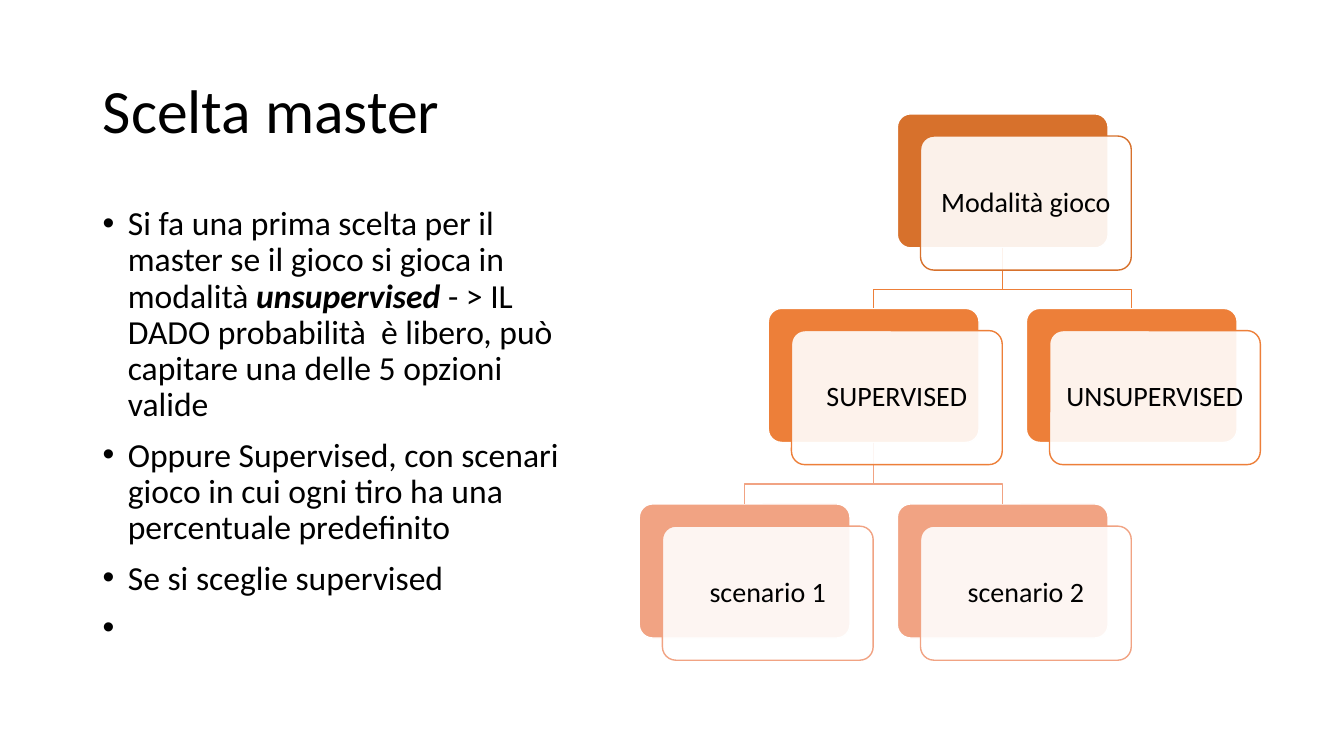
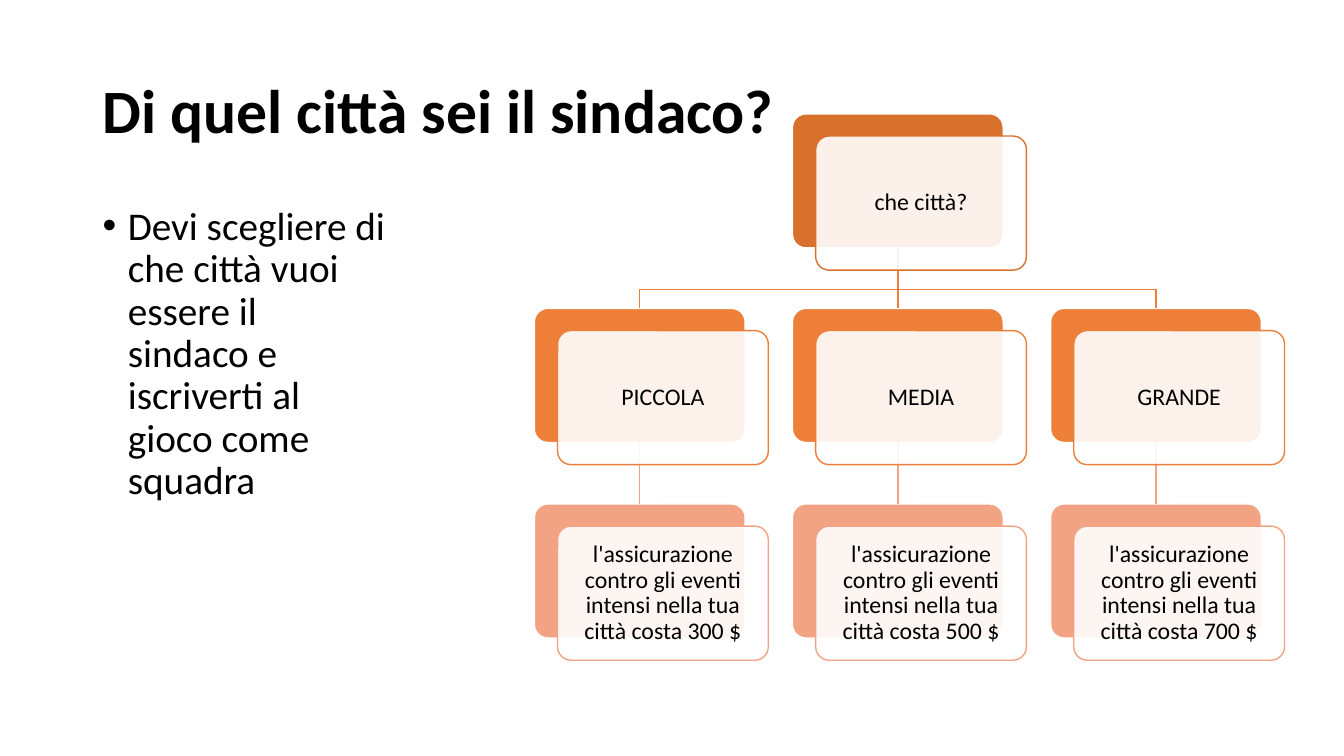
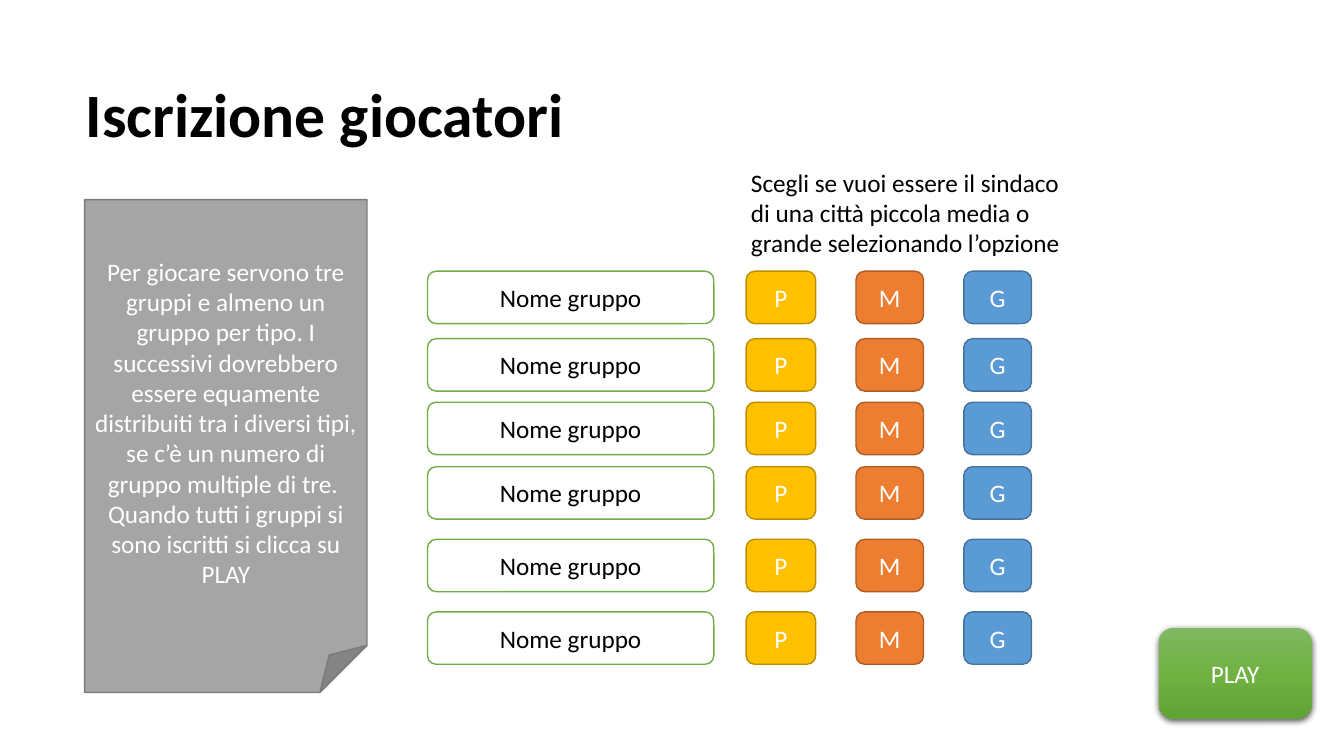
from lxml import etree
from pptx import Presentation
from pptx import util as u
from pptx.dml.color import RGBColor
from pptx.enum import shapes, text
from pptx.oxml import ns

PX = 9144  # EMU in one px, 100 px to the inch
FONT = "Calibri"
COLORS = {
    "black": "000000", "white": "FFFFFF",
    "root": "D7712C", "branch": "ED7F39", "leaf": "F1A383",
    "green": "70AD47", "gold": "FFC000", "gold_edge": "BD8E00",
    "orange": "ED7D31", "orange_edge": "AF5C24",
    "blue": "5B9BD5", "blue_edge": "43739E",
    "gray": "A5A5A5", "gray_edge": "7A7A7A",
    "play_top": "81B861", "play_middle": "6FB242", "play_bottom": "62A336",
}
LEVELS = ["root", "branch", "leaf"]
CARD_WIDTH, CARD_HEIGHT = 209, 133
CARD_SHIFT_X, CARD_SHIFT_Y = 23, 22
COLUMN_STEP, TWO_ROWS, BEND = 256, 387, 41
LEFT, CENTER = text.PP_ALIGN.LEFT, text.PP_ALIGN.CENTER
TOP, MIDDLE = text.MSO_ANCHOR.TOP, text.MSO_ANCHOR.MIDDLE
ROUNDED = shapes.MSO_SHAPE.ROUNDED_RECTANGLE


def emu(*lengths):
    return [u.Emu(round(length * PX)) for length in lengths]


def rgb(name):
    return RGBColor.from_string(COLORS[name])


def add_xml(parent, tag, **attributes):
    return etree.SubElement(parent, ns.qn(tag), attributes)


def write(frame, paras, size=18, color="black", bold=False, align=CENTER,
          anchor=MIDDLE, spacing=None, before=None, bullet=False, inset=None):
    """Fill a frame; each paragraph is a string or a list of (text, strong) spans."""
    frame.word_wrap = True
    frame.auto_size = text.MSO_AUTO_SIZE.NONE
    frame.vertical_anchor = anchor
    if inset is not None:
        (frame.margin_left, frame.margin_top,
         frame.margin_right, frame.margin_bottom) = emu(*[inset] * 4)
    for index, spans in enumerate(paras):
        para = frame.add_paragraph() if index else frame.paragraphs[0]
        para.alignment = align
        para.line_spacing = spacing
        if before is not None:
            para.space_before = u.Pt(before)
        if bullet:
            properties = para._p.get_or_add_pPr()
            indent = 25 * PX
            properties.set("marL", str(indent))
            properties.set("indent", str(-indent))
            add_xml(properties, "a:buFont", typeface="Arial")
            add_xml(properties, "a:buChar", char="•")
        if isinstance(spans, str):
            spans = [(spans, False)]
        for words, strong in spans:
            span = para.add_run()
            span.text = words
            font = span.font
            font.name, font.size = FONT, u.Pt(size)
            font.color.rgb = rgb(color)
            font.bold = bold or strong
            font.italic = strong


def add_box(page, box, fill, line=None, kind=ROUNDED, corner=None, alpha=None):
    shape = page.shapes.add_shape(kind, *emu(*box))
    shape.shadow.inherit = False
    shape.fill.solid()
    shape.fill.fore_color.rgb = rgb(fill)
    if alpha is not None:
        tint = shape._element.spPr.find(".//" + ns.qn("a:srgbClr"))
        add_xml(tint, "a:alpha", val=str(alpha * 1000))
    if line:
        shape.line.color.rgb = rgb(line)
        shape.line.width = u.Pt(1)
    else:
        shape.line.fill.background()
    if corner is not None:
        shape.adjustments[0] = corner
    return shape


def add_page(deck, title, box, bold=True):
    page = deck.slides.add_slide(deck.slide_layouts[5])
    holder = page.shapes.title
    holder.left, holder.top, holder.width, holder.height = emu(*box)
    write(holder.text_frame, [title], size=44, bold=bold, align=LEFT, spacing=0.9)
    return page


def add_bullets(page, box, paras, size):
    area = page.shapes.add_textbox(*emu(*box))
    write(area.text_frame, paras, size=size, align=LEFT, anchor=TOP,
          spacing=0.9, before=10, bullet=True)


def add_link(page, parent, child, color):
    """Join two cards: straight when they are in one column, else with a bend."""
    start_x, start_y = parent.left + parent.width // 2, parent.top + parent.height
    end_x, end_y = child.left + child.width // 2, child.top
    if start_x == end_x:
        link = page.shapes.add_connector(
            shapes.MSO_CONNECTOR.STRAIGHT, start_x, start_y, end_x, end_y)
        link.begin_connect(parent, 2)
        link.end_connect(child, 0)
        add_xml(link._element.spPr, "a:effectLst")
    else:
        bend_y = start_y + BEND * PX
        builder = page.shapes.build_freeform(start_x, start_y)
        builder.add_line_segments(
            [(start_x, bend_y), (end_x, bend_y), (end_x, end_y)], close=False)
        link = builder.convert_to_shape()
        link.shadow.inherit = False
        link.fill.background()
    link.line.color.rgb = rgb(color)
    link.line.width = u.Pt(1)


def add_tree(page, left, top, nodes, size, inset):
    """Draw nodes given as (label, level, column, index of the parent)."""
    spots = [(left + round(column * COLUMN_STEP), top + level * TWO_ROWS // 2)
             for _, level, column, _ in nodes]
    cards = [add_box(page, (x, y, CARD_WIDTH, CARD_HEIGHT), LEVELS[node[1]],
                     "white", corner=0.1)
             for (x, y), node in zip(spots, nodes)]
    for card, (_, level, _, parent) in zip(cards, nodes):
        if parent is not None:
            add_link(page, cards[parent], card, LEVELS[level])
    for (x, y), (label, level, _, _) in zip(spots, nodes):
        front = add_box(
            page, (x + CARD_SHIFT_X, y + CARD_SHIFT_Y, CARD_WIDTH, CARD_HEIGHT),
            "white", LEVELS[level], corner=0.1, alpha=90)
        write(front.text_frame, [label], size=size, spacing=0.9, inset=inset)


def add_group_row(page, left, top):
    """One group's name field and its three choices of town."""
    cells = [
        ("Nome gruppo", 0, 284, "white", "green", "black"),
        ("P", 316, 69, "gold", "gold_edge", "white"),
        ("M", 425, 67, "orange", "orange_edge", "white"),
        ("G", 532, 67, "blue", "blue_edge", "white"),
    ]
    for label, offset, width, fill, line, color in cells:
        cell = add_box(page, (left + offset, top, width, 52), fill, line)
        write(cell.text_frame, [label], color=color)


def add_play_button(page, box):
    button = add_box(page, box, "play_middle")
    button.fill.gradient()
    button.fill.gradient_angle = 270
    properties = button._element.spPr
    stops = properties.find(".//" + ns.qn("a:gsLst"))
    for stop in list(stops):
        stops.remove(stop)
    for place, name in enumerate(["play_top", "play_middle", "play_bottom"]):
        stop = add_xml(stops, "a:gs", pos=str(place * 50000))
        add_xml(stop, "a:srgbClr", val=COLORS[name])
    shadow = add_xml(properties.find(ns.qn("a:effectLst")), "a:outerShdw",
                     blurRad="57150", dist="19050", dir="5400000",
                     algn="ctr", rotWithShape="0")
    tint = add_xml(shadow, "a:srgbClr", val=COLORS["black"])
    add_xml(tint, "a:alpha", val="63000")
    write(button.text_frame, ["PLAY"], color="white")


def build_mode_page(deck):
    page = add_page(deck, "Scelta master", (92, 40, 1150, 145), bold=False)
    add_bullets(page, (92, 200, 496, 476), [
        [("Si fa una prima scelta per il master se il gioco si gioca in modalità ", False),
         ("unsupervised", True),
         (" - > IL DADO probabilità  è libero, può capitare una delle 5 opzioni valide",
          False)],
        "Oppure Supervised, con scenari gioco in cui ogni tiro ha una "
        "percentuale predefinito",
        "Se si sceglie supervised",
        " ",
    ], size=24)
    add_tree(page, 634, 113, [
        ("Modalità gioco", 0, 1, None),
        ("SUPERVISED", 1, 0.5, 0),
        ("UNSUPERVISED", 1, 1.5, 0),
        ("scenario 1", 2, 0, 1),
        ("scenario 2", 2, 1, 1),
    ], size=20, inset=8)


def build_town_page(deck):
    page = add_page(deck, "Di quel città sei il sindaco?", (92, 40, 1150, 145))
    add_bullets(page, (92, 200, 300, 476), [
        "Devi scegliere di che città vuoi essere il sindaco e iscriverti al "
        "gioco come squadra"], size=28)
    nodes = [("che città?", 0, 1, None)]
    towns = [("PICCOLA", 300), ("MEDIA", 500), ("GRANDE", 700)]
    for column, (town, cost) in enumerate(towns):
        nodes.append((town, 1, column, 0))
        nodes.append(("l'assicurazione contro gli eventi intensi nella tua "
                      f"città costa {cost} $", 2, column, len(nodes) - 1))
    add_tree(page, 530, 113, nodes, size=17, inset=7)


def build_players_page(deck):
    page = add_page(deck, "Iscrizione giocatori", (75, 44, 1150, 145))
    for top in (269, 336, 399, 463, 535, 607):
        add_group_row(page, 424, top)
    hint = page.shapes.add_textbox(*emu(735, 161, 349, 131))
    write(hint.text_frame, [
        "Scegli se vuoi essere il sindaco di una città piccola media o grande "
        "selezionando l’opzione"], align=LEFT, anchor=TOP)
    rules = add_box(page, (84, 198, 280, 489), "gray", "gray_edge",
                    kind=shapes.MSO_SHAPE.FOLDED_CORNER)
    write(rules.text_frame, [
        "Per giocare servono tre gruppi e almeno un gruppo per tipo. I successivi "
        "dovrebbero essere equamente distribuiti tra i diversi tipi, se c’è un "
        "numero di gruppo multiple di tre. ",
        "Quando tutti i gruppi si sono iscritti si clicca su PLAY"], color="white")
    add_play_button(page, (1149, 623, 152, 90))


def main():
    deck = Presentation()
    deck.slide_width, deck.slide_height = emu(1333, 750)
    for build in (build_mode_page, build_town_page, build_players_page):
        build(deck)
    deck.save("out.pptx")


if __name__ == "__main__":
    main()
